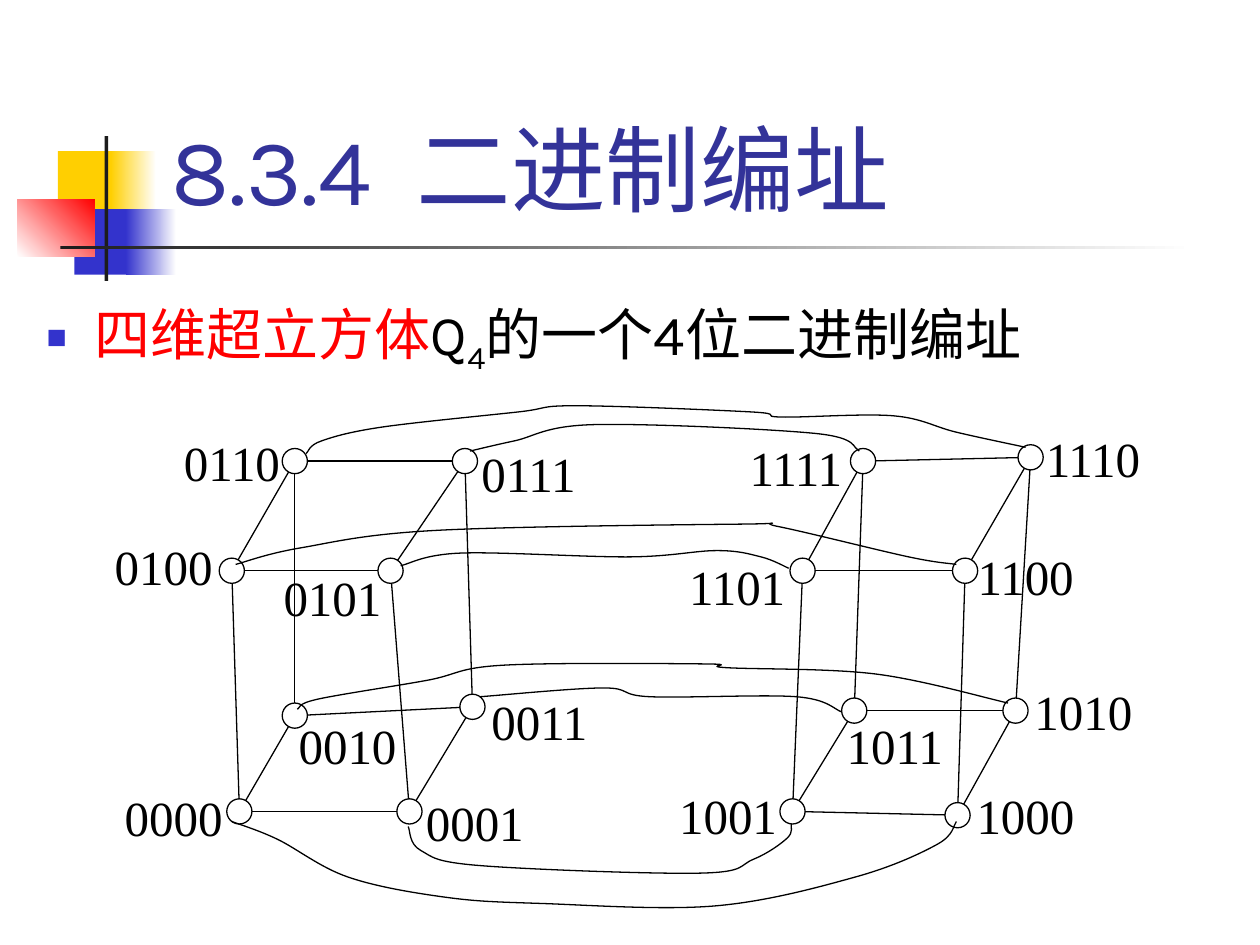
"""Build the slide on binary addressing of the four-dimensional hypercube."""
from itertools import combinations
from math import hypot

from lxml import etree
from pptx import Presentation
from pptx.dml.color import RGBColor
from pptx.enum.shapes import MSO_CONNECTOR, MSO_SHAPE
from pptx.enum.text import MSO_ANCHOR, MSO_AUTO_SIZE, PP_ALIGN
from pptx.oxml.ns import qn
from pptx.util import Inches, Pt

RECTANGLE, OVAL = MSO_SHAPE.RECTANGLE, MSO_SHAPE.OVAL
STRAIGHT = MSO_CONNECTOR.STRAIGHT
TOP, BOTTOM = MSO_ANCHOR.TOP, MSO_ANCHOR.BOTTOM
LEFT, NO_FIT = PP_ALIGN.LEFT, MSO_AUTO_SIZE.NONE
COLORS = {"white": "FFFFFF", "black": "000000", "ink": "1C1C1C", "gold": "FFCF01",
          "blue": "3333CC", "red": "FF0000", "navy": "333399"}
RGB = {name: RGBColor.from_string(value) for name, value in COLORS.items()}

deck = Presentation()
deck.slide_width, deck.slide_height = Inches(10), Inches(7.5)
CELL = deck.slide_width / 100
page = deck.slides.add_slide(deck.slide_layouts[1])


def grid(*cells):
    """Turn grid cells, 100 to the slide's width, into lengths."""
    return [round(cell * CELL) for cell in cells]


def add_box(shapes, kind, cells, fill, line=None):
    """Add a preset shape with a plain fill and an optional thin outline."""
    box = shapes.add_shape(kind, *grid(*cells))
    box.shadow.inherit = False
    box.fill.solid()
    box.fill.fore_color.rgb = RGB[fill]
    if line:
        box.line.color.rgb = RGB[line]
        box.line.width = Pt(0.75)
    else:
        box.line.fill.background()
    return box


ornaments = [
    ((4.6, 12, 4.8, 5.2), "gold", None, 0),
    ((8.8, 12, 3.6, 5.2), "gold", "white", 0),
    ((5.9, 16.6, 4.6, 5.2), "blue", None, 0),
    ((10, 16.6, 4, 5.2), "blue", "white", 0),
    ((1.4, 15.8, 6.1, 4.6), "white", "red", 45),
    ((8.3, 10.8, 0.3, 11.5), "ink", None, 0),
    ((4.8, 19.5, 90, 0.3), "ink", "white", 0),
]
for cells, start, end, angle in ornaments:
    box = add_box(page.shapes, RECTANGLE, cells, start)
    if end:
        box.fill.gradient()
        box.fill.gradient_angle = angle
        for stop, color in zip(box.fill.gradient_stops, (start, end)):
            stop.color.rgb = RGB[color]

texts = [
    (page.shapes.title, (12.6, 2.3, 85.2, 16), BOTTOM, 54,
     [("8.3.4  二进制编址", "navy")]),
    (page.placeholders[1], (2.7, 20.2, 97.3, 54.8), TOP, 32,
     [("四维超立方体", "red"), ("Q", "black"), ("4", "black"), ("的一个4位二进制编址", "black")]),
]
for holder, cells, anchor, size, spans in texts:
    for name, value in zip(("left", "top", "width", "height"), grid(*cells)):
        setattr(holder, name, value)
    frame = holder.text_frame
    for name, value in {"word_wrap": True, "auto_size": NO_FIT, "vertical_anchor": anchor}.items():
        setattr(frame, name, value)
    para = frame.paragraphs[0]
    para.alignment = LEFT
    for words, color in spans:
        span = para.add_run()
        span.text = words
        span.font.name, span.font.size = "Karla", Pt(size)
        span.font.color.rgb = RGB[color]

para = page.placeholders[1].text_frame.paragraphs[0]
para.runs[2].font._element.set("baseline", "-25000")
properties = para._p.get_or_add_pPr()
properties.set("marL", str(Inches(0.38)))
properties.set("indent", str(-Inches(0.38)))
bullet_color = etree.SubElement(properties, qn("a:buClr"))
etree.SubElement(bullet_color, qn("a:srgbClr"), val=COLORS["blue"])
etree.SubElement(properties, qn("a:buSzPct"), val="60000")
etree.SubElement(properties, qn("a:buChar"), char="■")
para.line_spacing, para.space_before = 1.5, Pt(0)

RADIUS = 1
labels = {
    "1101": (53.9, 43.8), "1001": (53.1, 61.9), "1000": (76.7, 61.9), "1010": (81.3, 53.7),
    "1011": (66.4, 56.4), "1100": (76.8, 43), "1111": (58.7, 34.3), "1110": (82.2, 33.6),
    "0000": (9.1, 62.1), "0001": (33, 62.5), "0011": (38.2, 54.5), "0111": (37.4, 34.8),
    "0110": (13.8, 33.9), "0010": (22.9, 56.4), "0101": (21.7, 44.6), "0100": (8.3, 42.2),
}
centers = {
    "0110": (23.4, 36.6), "0111": (36.9, 36.6), "0100": (18.4, 45.3), "0101": (31, 45.3),
    "0010": (23.4, 56.8), "0011": (37.5, 56.1), "0000": (19, 64.4), "0001": (32.5, 64.4),
    "1110": (81.8, 36.3), "1111": (68.5, 36.6), "1100": (76.6, 45.3), "1101": (63.7, 45.3),
    "1010": (80.6, 56.4), "1011": (67.8, 56.4), "1000": (76, 64.7), "1001": (62.9, 64.4),
}
label_format = {"margin_left": Inches(0.08), "margin_right": Inches(0.08),
                "margin_top": Inches(0.04), "margin_bottom": Inches(0.04),
                "vertical_anchor": TOP, "word_wrap": True}
figure = page.shapes.add_group_shape().shapes
for address, corner in labels.items():
    frame = add_box(figure, RECTANGLE, (*corner, 11.9, 5.8), "white", "white").text_frame
    for name, value in label_format.items():
        setattr(frame, name, value)
    para = frame.paragraphs[0]
    para.alignment = LEFT
    span = para.add_run()
    span.text = address
    span.font.name, span.font.size = "Times New Roman", Pt(28)
    span.font.color.rgb = RGB["black"]
for x, y in centers.values():
    add_box(figure, OVAL, (x - RADIUS, y - RADIUS, 2 * RADIUS, 2 * RADIUS), "white", "black")

for (first, (x1, y1)), (second, (x2, y2)) in combinations(centers.items(), 2):
    differing = [a != b for a, b in zip(first, second)]
    if sum(differing) == 1 and not differing[0]:
        trim = RADIUS / hypot(x2 - x1, y2 - y1)
        dx, dy = (x2 - x1) * trim, (y2 - y1) * trim
        edge = figure.add_connector(STRAIGHT, *grid(x1 + dx, y1 + dy, x2 - dx, y2 - dy))
        edge.line.color.rgb, edge.line.width = RGB["black"], Pt(0.75)
        etree.SubElement(edge._element.spPr, qn("a:effectLst"))

curved_edges = [
    [(37.3, 35.8), (40.8, 35), (47.2, 33.7), (64.7, 34.4), (68.2, 35.8)],
    [(24.3, 36), (25.5, 35), (30.3, 33.9), (41.1, 32.7), (45.7, 32.2), (59.7, 32.7),
     (62, 33.1), (70.9, 33), (75.9, 34.3), (81.4, 35.5)],
    [(62.6, 45.1), (60.4, 44.2), (56.9, 43.7), (50, 44.2), (36.6, 43.9), (31.8, 44.9)],
    [(75.9, 44.8), (72.1, 44.2), (61.8, 41.8), (59, 41.6), (34.6, 42.1), (23.8, 43.5),
     (18.7, 44.8)],
    [(66.8, 56.5), (63.2, 55.3), (51.6, 55.3), (47.9, 54.6), (38.1, 55.3)],
    [(80, 55.8), (69.5, 53.5), (57.7, 53), (56, 52.7), (39.9, 52.8), (33.9, 54),
     (25.2, 55.5), (23.6, 56.3)],
    [(62.8, 65.4), (62.5, 66.5), (59.8, 68.2), (55.6, 69.3), (38.1, 68.7), (33.4, 67.5),
     (32.4, 65.6)],
    [(75.9, 65.2), (74.4, 67), (67.9, 69.6), (56.7, 71.9), (42.9, 71.7), (35.3, 71.2),
     (27.6, 69.6), (22, 66.6), (18.4, 65.2)],
]
for stops in curved_edges:
    padded = [stops[0], *stops, stops[-1]]
    points = []
    for before, start, end, after in zip(padded, padded[1:], padded[2:], padded[3:]):
        leaving = [b + (c - a) / 6 for a, b, c in zip(before, start, end)]
        arriving = [b - (c - a) / 6 for a, b, c in zip(start, end, after)]
        points += [grid(*leaving), grid(*arriving), grid(*end)]
    builder = figure.build_freeform(*grid(*stops[0]))
    builder.add_line_segments(points, close=False)
    curve = builder.convert_to_shape()
    curve.shadow.inherit = False
    curve.fill.background()
    curve.line.color.rgb, curve.line.width = RGB["black"], Pt(0.75)
    steps = curve._element.xpath(".//a:lnTo")
    for first in range(0, len(steps), 3):
        bend = etree.SubElement(steps[first].getparent(), qn("a:cubicBezTo"))
        for step in steps[first:first + 3]:
            bend.append(step[0])
            step.getparent().remove(step)

deck.save("out.pptx")
